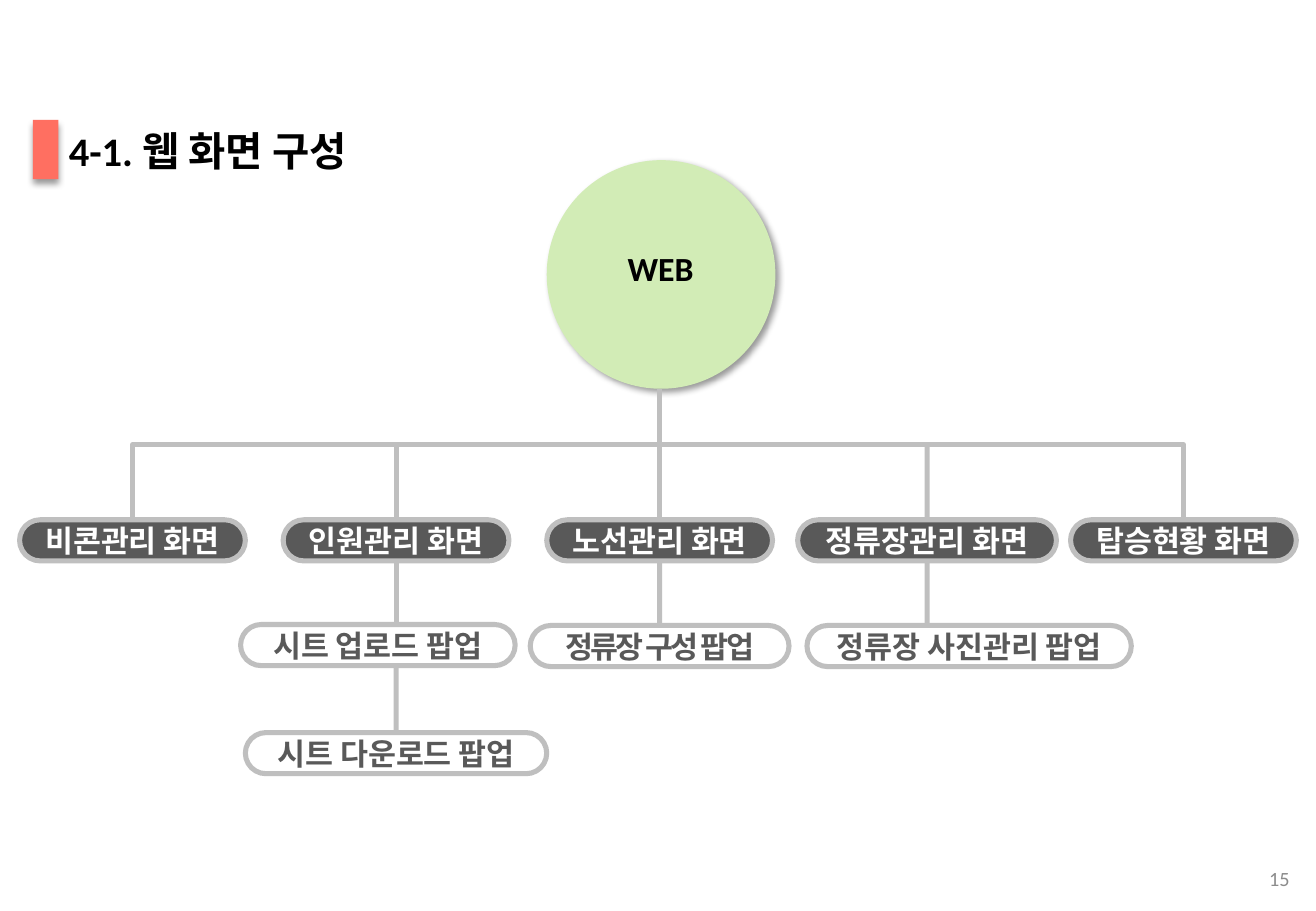
from pptx import Presentation
from pptx.dml.color import RGBColor
from pptx.enum.shapes import MSO_CONNECTOR as CONN, MSO_SHAPE as SHAPE
from pptx.enum.text import MSO_ANCHOR as ANCHOR, PP_ALIGN as ALIGN
from pptx.oxml import parse_xml
from pptx.oxml.ns import nsdecls, qn
from pptx.util import Cm, Pt

BLACK = RGBColor(0x00, 0x00, 0x00)
WHITE = RGBColor(0xFF, 0xFF, 0xFF)
DARK = RGBColor(0x59, 0x59, 0x59)
SILVER = RGBColor(0xBF, 0xBF, 0xBF)
GREY = RGBColor(0x8C, 0x8C, 0x8C)
GREEN = RGBColor(0xD2, 0xEC, 0xB6)
CORAL = RGBColor(0xFF, 0x6F, 0x61)

PILL_H = 0.86
SCREEN_Y = 10.87
POPUP_Y = 13.08
DOWNLOAD_Y = 15.32
BUS_Y = 9.3
SCREENS = [
    ("비콘관리 화면", 2.77, 4.72),
    ("인원관리 화면", 8.28, 4.72),
    ("노선관리 화면", 13.79, 4.72),
    ("정류장관리 화면", 19.38, 5.41),
    ("탑승현황 화면", 24.74, 4.72),
]


def write(tf, text, size=18, color=BLACK, bold=True, align=ALIGN.CENTER,
          anchor=ANCHOR.MIDDLE, spacing=None):
    """Put one formatted paragraph in a text frame."""
    tf.word_wrap = True
    tf.vertical_anchor = anchor
    p = tf.paragraphs[0]
    p.alignment = align
    r = p.add_run()
    r.text = text
    r.font.name = "Calibri"
    r.font.size = Pt(size)
    r.font.bold = bold
    r.font.color.rgb = color
    if spacing is not None:
        r._r.get_or_add_rPr().set("spc", str(int(spacing * 100)))


def add_text(s, x, y, w, h, text, **fmt):
    """Add a text box."""
    sp = s.shapes.add_textbox(Cm(x), Cm(y), Cm(w), Cm(h))
    write(sp.text_frame, text, **fmt)


def add_shadowed(s, kind, x, y, w, h, color, angle):
    """Add a borderless filled shape with a soft shadow."""
    sp = s.shapes.add_shape(kind, Cm(x), Cm(y), Cm(w), Cm(h))
    sp.fill.solid()
    sp.fill.fore_color.rgb = color
    sp.line.fill.background()
    sp.shadow.inherit = False
    sp._element.spPr.find(qn("a:effectLst")).append(parse_xml(
        f'<a:outerShdw {nsdecls("a")} blurRad="{Pt(4)}" dist="{Pt(3)}" '
        f'dir="{angle * 60000}" algn="tl" rotWithShape="0">'
        '<a:srgbClr val="000000"><a:alpha val="40000"/></a:srgbClr>'
        '</a:outerShdw>'))


def set_line(sp):
    """Give a shape or connector the silver line of the diagram."""
    sp.line.color.rgb = SILVER
    sp.line.width = Pt(3)


def add_pill(s, text, center, y, w, fill=None, color=DARK, spacing=None):
    """Add a rounded label centred on a column."""
    sp = s.shapes.add_shape(SHAPE.ROUNDED_RECTANGLE, Cm(center - w / 2),
                            Cm(y), Cm(w), Cm(PILL_H))
    sp.adjustments[0] = 0.5
    sp.shadow.inherit = False
    if fill is None:
        sp.fill.background()
    else:
        sp.fill.solid()
        sp.fill.fore_color.rgb = fill
    set_line(sp)
    write(sp.text_frame, text, color=color, spacing=spacing)
    return sp


def add_link(s, x, y1, y2, above=None, below=None):
    """Add a vertical line, joined to the pill above or below it."""
    c = s.shapes.add_connector(CONN.STRAIGHT, Cm(x), Cm(y1), Cm(x), Cm(y2))
    if above is not None:
        c.begin_connect(above, 2)
    if below is not None:
        c.end_connect(below, 0)
    set_line(c)
    c._element.spPr.append(parse_xml(f'<a:effectLst {nsdecls("a")}/>'))


def add_bus(s, left, right):
    """Add the bracket that spans the outer screens."""
    fb = s.shapes.build_freeform(Cm(left), Cm(SCREEN_Y))
    fb.add_line_segments([(Cm(left), Cm(BUS_Y)), (Cm(right), Cm(BUS_Y)),
                          (Cm(right), Cm(SCREEN_Y))], close=False)
    sp = fb.convert_to_shape()
    sp.fill.background()
    sp.shadow.inherit = False
    set_line(sp)


def main():
    """Build the web screen structure slide."""
    prs = Presentation()
    prs.slide_width, prs.slide_height = Cm(27.51), Cm(19.05)
    s = prs.slides.add_slide(prs.slide_layouts[6])

    add_shadowed(s, SHAPE.RECTANGLE, 0.69, 2.51, 0.53, 1.24, CORAL, 90)
    add_text(s, 1.19, 2.51, 9.58, 1.27, "4-1. 웹 화면 구성", size=24,
             align=ALIGN.LEFT, anchor=ANCHOR.TOP)
    add_shadowed(s, SHAPE.OVAL, 11.43, 3.35, 4.78, 4.78, GREEN, 45)
    add_text(s, 12.17, 5.05, 3.28, 1.12, "WEB", size=20, anchor=ANCHOR.TOP)

    columns = [center for _, center, _ in SCREENS]
    beacon, people, route, stop, boarding = [
        add_pill(s, text, center, SCREEN_Y, w, fill=DARK, color=WHITE)
        for text, center, w in SCREENS]
    add_bus(s, columns[0], columns[-1])
    tops = [BUS_Y, 8.13, BUS_Y]
    for x, top, screen in zip(columns[1:4], tops, (people, route, stop)):
        add_link(s, x, top, SCREEN_Y, below=screen)

    add_pill(s, "시트 업로드 팝업", 7.9, POPUP_Y - 0.02, 5.74)
    route_popup = add_pill(s, "정류장 구성 팝업", columns[2], POPUP_Y, 5.41,
                           spacing=-1.5)
    add_pill(s, "정류장 사진관리 팝업", 20.26, POPUP_Y, 6.78)
    download = add_pill(s, "시트 다운로드 팝업", columns[1], DOWNLOAD_Y, 6.3)
    add_link(s, columns[1], SCREEN_Y + PILL_H, POPUP_Y, above=people)
    add_link(s, columns[2], SCREEN_Y + PILL_H, POPUP_Y, above=route,
             below=route_popup)
    add_link(s, columns[3], SCREEN_Y + PILL_H, POPUP_Y, above=stop)
    add_link(s, columns[1], POPUP_Y + PILL_H, DOWNLOAD_Y, below=download)

    add_text(s, 21.01, 17.86, 6.2, 1.02, "15", size=12, color=GREY,
             bold=False, align=ALIGN.RIGHT)
    prs.save("out.pptx")


if __name__ == "__main__":
    main()
